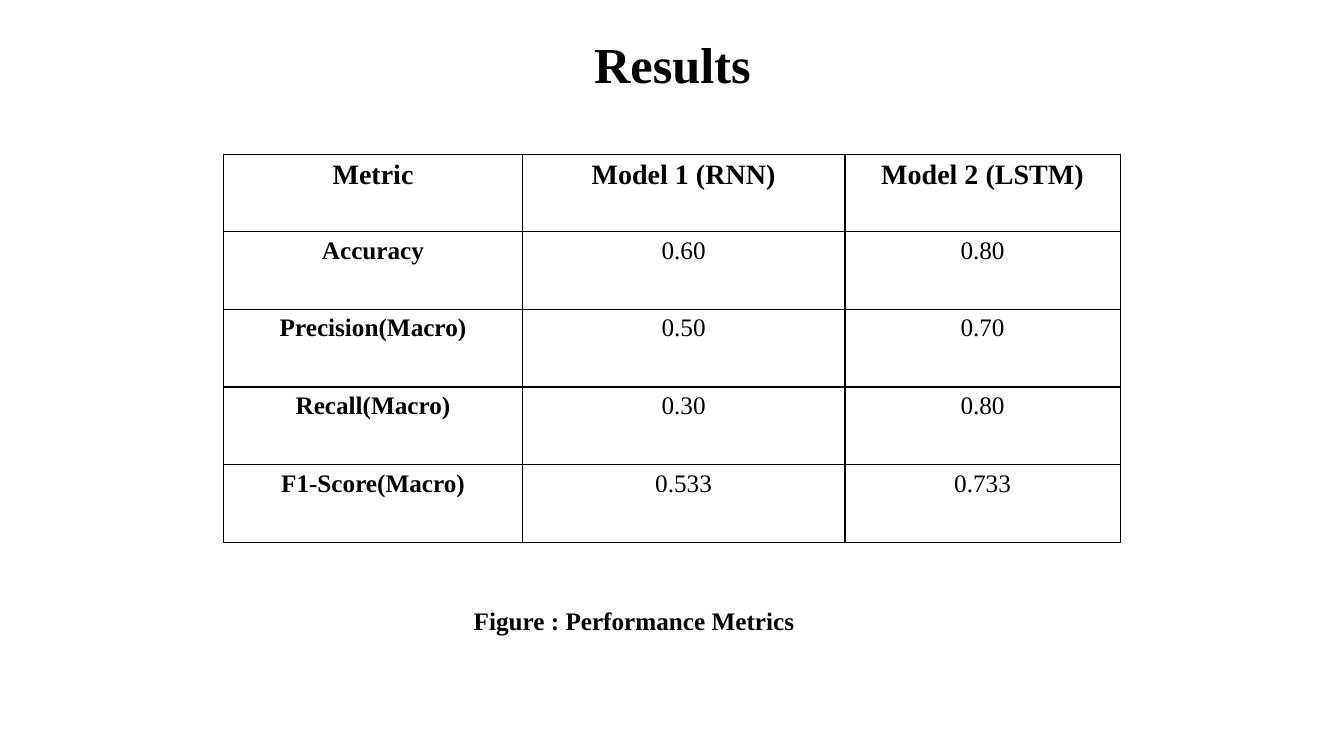
from pptx import Presentation
from pptx.dml.color import RGBColor
from pptx.enum.text import MSO_ANCHOR, MSO_AUTO_SIZE, PP_ALIGN
from pptx.oxml import parse_xml
from pptx.oxml.ns import nsdecls
from pptx.util import Pt

EMU_PER_PX = 9144
TITLE_ONLY = 5
METRICS = [
    ("Metric", "Model 1 (RNN)", "Model 2 (LSTM)"),
    ("Accuracy", "0.60", "0.80"),
    ("Precision(Macro)", "0.50", "0.70"),
    ("Recall(Macro)", "0.30", "0.80"),
    ("F1-Score(Macro)", "0.533", "0.733"),
]


def px(length):
    return length * EMU_PER_PX


def color(value):
    return RGBColor.from_string(value)


def write(frame, text, size=18, bold=False, align=PP_ALIGN.LEFT, spacing=None,
          font="Times New Roman", ink="000000"):
    para = frame.paragraphs[0]
    para.alignment = align
    para.line_spacing = spacing
    span = para.add_run()
    span.text = text
    span.font.name = font
    span.font.size = Pt(size)
    span.font.bold = bold
    span.font.color.rgb = color(ink)


class ResultsPage:
    ink = "000000"
    paper = "FFFFFF"
    border = Pt(1)

    def __init__(self, deck):
        self.page = deck.slides.add_slide(deck.slide_layouts[TITLE_ONLY])
        fill = self.page.background.fill
        fill.solid()
        fill.fore_color.rgb = color(self.paper)

    def title(self, text, left, top, width, height):
        box = self.page.shapes.title
        box.left, box.top, box.width, box.height = map(px, (left, top, width, height))
        frame = box.text_frame
        frame.auto_size = MSO_AUTO_SIZE.NONE
        frame.vertical_anchor = MSO_ANCHOR.BOTTOM
        write(frame, text, size=36, bold=True, align=PP_ALIGN.CENTER,
              spacing=0.9, ink=self.ink)

    def table(self, rows, left, top, widths, row_height):
        table = self.page.shapes.add_table(
            len(rows), len(widths), px(left), px(top),
            px(sum(widths)), px(row_height * len(rows))).table
        for column, width in zip(table.columns, widths):
            column.width = px(width)
        for row_index, row in enumerate(rows):
            for column_index, text in enumerate(row):
                cell = table.cell(row_index, column_index)
                header = row_index == 0
                write(cell.text_frame, text, size=20 if header else 18,
                      bold=header or column_index == 0,
                      align=PP_ALIGN.CENTER, ink=self.ink)
                self.outline(cell)
                cell.fill.solid()
                cell.fill.fore_color.rgb = color(self.paper)

    def outline(self, cell):
        properties = cell._tc.get_or_add_tcPr()
        for side in ("lnL", "lnR", "lnT", "lnB"):
            properties.append(parse_xml(
                f'<a:{side} {nsdecls("a")} w="{self.border}"><a:solidFill>'
                f'<a:srgbClr val="{self.ink}"/></a:solidFill></a:{side}>'))

    def caption(self, text, left, top, width, height):
        box = self.page.shapes.add_textbox(*map(px, (left, top, width, height)))
        frame = box.text_frame
        frame.word_wrap = True
        frame.auto_size = MSO_AUTO_SIZE.SHAPE_TO_FIT_TEXT
        write(frame, text, bold=True, ink=self.ink)


def main():
    deck = Presentation()
    deck.slide_width, deck.slide_height = px(1333), px(750)
    results = ResultsPage(deck)
    results.title("Results", 142, 10, 1050, 89)
    results.table(METRICS, 222, 153, (296, 320, 273), 77)
    results.caption("Figure : Performance Metrics", 460, 596, 667, 40)
    deck.save("out.pptx")


if __name__ == "__main__":
    main()
